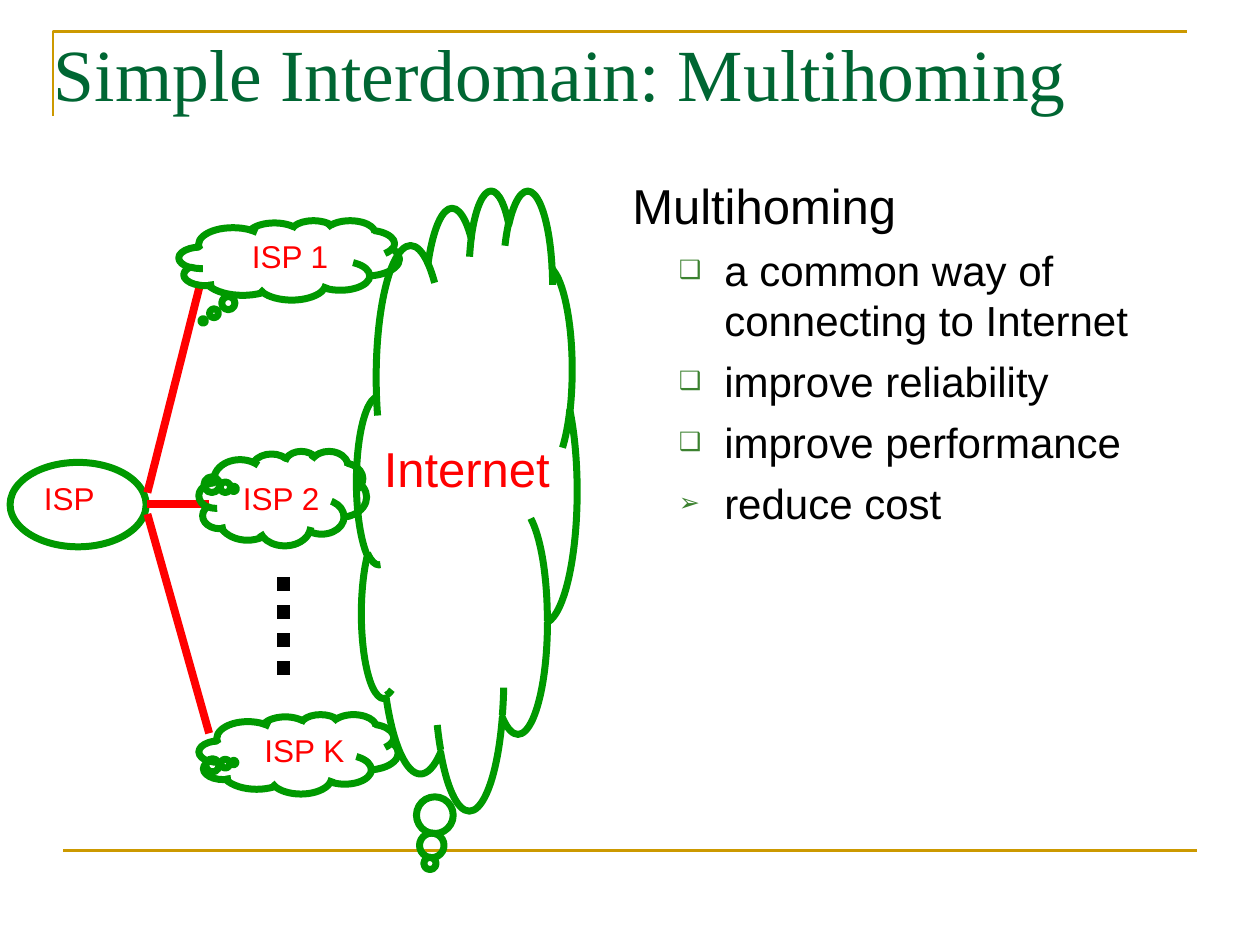
from typing import NamedTuple

from lxml import etree
from pptx import Presentation
from pptx import util as u
from pptx.dml.color import RGBColor
from pptx.enum import dml, shapes, text
from pptx.oxml.ns import qn

GOLD, GREEN, RED, BLACK = "CC9900", "009900", "FF0000", "000000"
TITLE_GREEN, BULLET_GREEN = "006633", "3B812F"


class Box(NamedTuple):
    left: float
    top: float
    width: float
    height: float

    def lengths(self) -> list:
        return [u.Inches(v) for v in self]


class Cloud(NamedTuple):
    box: Box
    tail: tuple


class Label(NamedTuple):
    words: str
    box: Box
    size: int = 18
    align: text.PP_ALIGN = text.PP_ALIGN.LEFT
    wrap: bool = False


class Link(NamedTuple):
    start: tuple
    end: tuple
    color: str = RED
    width: float = 4.5
    dash: dml.MSO_LINE | None = None


CLOUDS = [
    Cloud(Box(2.83, 1.5, 1.75, 4.92), (-0.167, 0.588)),
    Cloud(Box(1.58, 5.67, 1.58, 0.63), (-0.326, 0.107)),
    Cloud(Box(1.58, 3.58, 1.33, 0.75), (-0.293, -0.1)),
    Cloud(Box(1.42, 1.75, 1.75, 0.63), (-0.39, 0.766)),
]
LABELS = [
    Label("ISP", Box(0.25, 3.75, 0.6, 0.4)),
    Label("ISP 1", Box(1.9, 1.83, 0.81, 0.4)),
    Label("ISP 2", Box(1.83, 3.75, 1.08, 0.4), wrap=True),
    Label("ISP K", Box(2, 5.75, 0.84, 0.4)),
    Label("Internet", Box(2.9, 3.43, 1.61, 0.57), 28, text.PP_ALIGN.CENTER),
]
LINKS = [
    Link((1.17, 4), (1.66, 4)),
    Link((1.17, 3.91), (1.59, 2.25)),
    Link((1.17, 4.08), (1.66, 5.82)),
    Link((2.25, 4.58), (2.25, 5.42), BLACK, 8, dml.MSO_LINE.ROUND_DOT),
]
BULLETS = [
    ("❑", "a common way of connecting to Internet"),
    ("❑", "improve reliability"),
    ("❑", "improve performance"),
    ("➢", "reduce cost"),
]


def rgb(color: str) -> RGBColor:
    return RGBColor.from_string(color)


def outline(sp, color: str, width: float) -> None:
    """Leave only the border of a shape visible."""
    sp.shadow.inherit = False
    sp.fill.background()
    sp.line.color.rgb = rgb(color)
    sp.line.width = u.Pt(width)


def add_outlined(s, kind, box: Box, tail: tuple = ()) -> None:
    sp = s.shapes.add_shape(kind, *box.lengths())
    for i, value in enumerate(tail):
        sp.adjustments[i] = value
    outline(sp, GREEN, 4)


def add_link(s, link: Link) -> None:
    ends = [u.Inches(v) for v in link.start + link.end]
    line = s.shapes.add_connector(shapes.MSO_CONNECTOR.STRAIGHT, *ends)
    line.line.color.rgb = rgb(link.color)
    line.line.width = u.Pt(link.width)
    if link.dash:
        line.line.dash_style = link.dash
    etree.SubElement(line._element.spPr, qn("a:effectLst"))


def add_frame(s, box: Box, wrap: bool = True):
    tf = s.shapes.add_textbox(*box.lengths()).text_frame
    tf.word_wrap = wrap
    return tf


def write(p, words: str, *, size: float, color: str = BLACK, font: str = "Arial",
          align=text.PP_ALIGN.LEFT, before: float = 0) -> None:
    p.alignment = align
    p.space_before = u.Pt(before)
    r = p.add_run()
    r.text = words
    r.font.size = u.Pt(size)
    r.font.name = font
    r.font.color.rgb = rgb(color)


def add_bullet(p, char: str) -> None:
    pPr = p._p.get_or_add_pPr()
    pPr.set("lvl", "1")
    pPr.set("marL", str(u.Inches(0.73)))
    pPr.set("indent", str(u.Inches(-0.36)))
    color = etree.SubElement(pPr, qn("a:buClr"))
    etree.SubElement(color, qn("a:srgbClr"), val=BULLET_GREEN)
    etree.SubElement(pPr, qn("a:buSzPct"), val="60000")
    etree.SubElement(pPr, qn("a:buFont"), typeface="Arial")
    etree.SubElement(pPr, qn("a:buChar"), char=char)


def add_title(s) -> None:
    builder = s.shapes.build_freeform(u.Inches(0.42), u.Inches(0.92))
    corner = [(u.Inches(x), u.Inches(0.25)) for x in (0.42, 9.42)]
    builder.add_line_segments(corner, close=False)
    outline(builder.convert_to_shape(), GOLD, 1.5)
    add_link(s, Link((0.5, 6.75), (9.5, 6.75), GOLD, 1.5))
    tf = add_frame(s, Box(0.33, 0.17, 9.67, 1.08))
    write(tf.paragraphs[0], "Simple Interdomain: Multihoming", size=42,
          color=TITLE_GREEN, font="Times New Roman")


def add_body(s) -> None:
    tf = add_frame(s, Box(4.92, 1.34, 4.83, 5.49))
    write(tf.paragraphs[0], "Multihoming", size=28)
    for char, words in BULLETS:
        p = tf.add_paragraph()
        add_bullet(p, char)
        write(p, words, size=24, before=6)


def add_network(s) -> None:
    add_outlined(s, shapes.MSO_SHAPE.OVAL, Box(0.08, 3.67, 1.08, 0.67))
    for link in LINKS:
        add_link(s, link)
    for cloud in CLOUDS:
        add_outlined(s, shapes.MSO_SHAPE.CLOUD_CALLOUT, cloud.box, cloud.tail)
    for label in LABELS:
        tf = add_frame(s, label.box, label.wrap)
        write(tf.paragraphs[0], label.words, size=label.size, color=RED,
              align=label.align)


def main() -> None:
    prs = Presentation()
    prs.slide_width, prs.slide_height = u.Inches(10), u.Inches(7.5)
    s = prs.slides.add_slide(prs.slide_layouts[6])
    add_title(s)
    add_body(s)
    add_network(s)
    prs.save("out.pptx")


if __name__ == "__main__":
    main()
